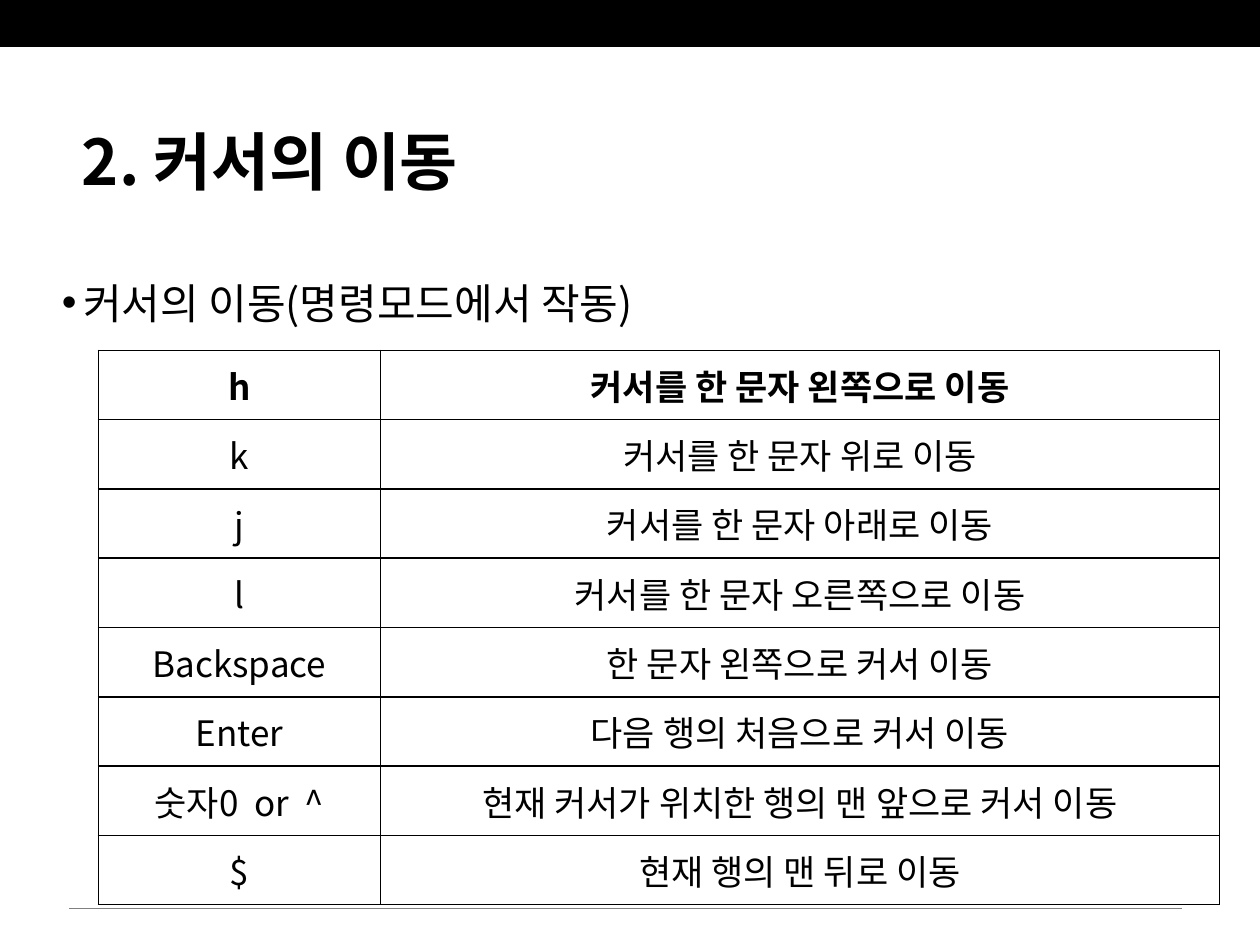
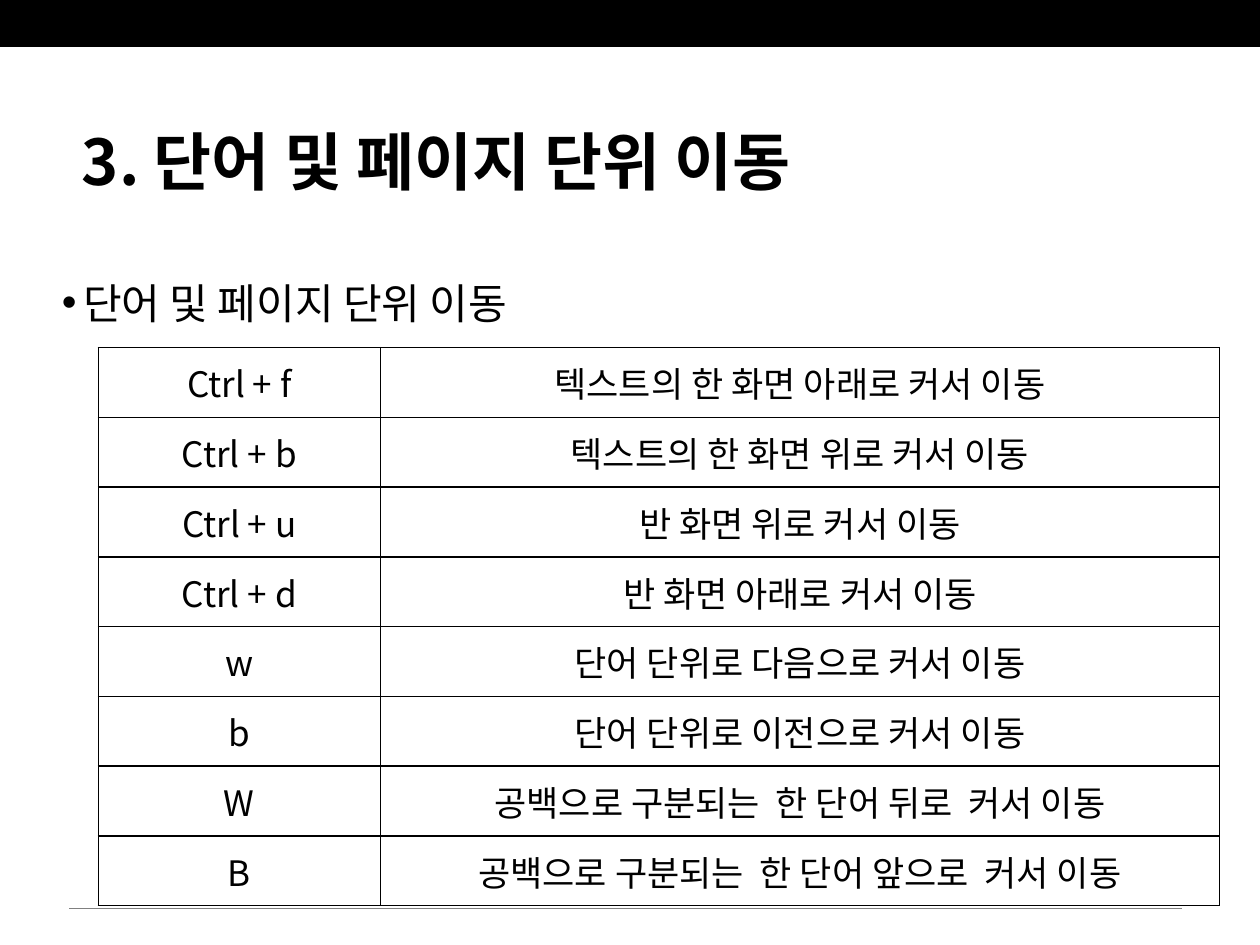
import pptx
import pptx.util
import pptx.dml.color
import pptx.enum.shapes
import pptx.enum.text
import pptx.oxml.ns
import lxml.etree

Inches, Pt = pptx.util.Inches, pptx.util.Pt
PP_ALIGN = pptx.enum.text.PP_ALIGN
ANCHOR = pptx.enum.text.MSO_ANCHOR
qn = pptx.oxml.ns.qn

# Shared look
FONT = "Noto Sans CJK KR"
BLACK, GREY = "000000", "808080"
TITLE = {"size": Pt(36), "bold": True}
BODY = {"size": Pt(24), "bold": False}
CELL = {"size": Pt(20), "bold": False}
HEADER_CELL = {"size": Pt(20), "bold": True}
BAND_BOX = (0, 0, 10, 0.36)
TITLE_BOX = (0.55, 0.94, 8.2, 0.71)
BODY_BOX = (0.39, 2.03, 9.34, 0.71)
FOOTER_LINE = (0.55, 7.21, 9.38, 7.21)
COLUMN_WIDTHS = (2.24, 6.66)
BULLET_INDENT = 0.17

SLIDES = [
    {
        "title": "2. 커서의 이동",
        "body": "커서의 이동(명령모드에서 작동)",
        "table_box": (0.78, 2.78, 8.9, 4.4),
        "bold_first_row": True,
        "keys": [
            ("h", "커서를 한 문자 왼쪽으로 이동"),
            ("k", "커서를 한 문자 위로 이동"),
            ("j", "커서를 한 문자 아래로 이동"),
            ("l", "커서를 한 문자 오른쪽으로 이동"),
            ("Backspace", "한 문자 왼쪽으로 커서 이동"),
            ("Enter", "다음 행의 처음으로 커서 이동"),
            ("숫자0  or  ^", "현재 커서가 위치한 행의 맨 앞으로 커서 이동"),
            ("$", "현재 행의 맨 뒤로 이동"),
        ],
    },
    {
        "title": "3. 단어 및 페이지 단위 이동",
        "body": "단어 및 페이지 단위 이동",
        "table_box": (0.78, 2.76, 8.9, 4.43),
        "bold_first_row": False,
        "keys": [
            ("Ctrl + f", "텍스트의 한 화면 아래로 커서 이동"),
            ("Ctrl + b", "텍스트의 한 화면 위로 커서 이동"),
            ("Ctrl + u", "반 화면 위로 커서 이동"),
            ("Ctrl + d", "반 화면 아래로 커서 이동"),
            ("w", "단어 단위로 다음으로 커서 이동"),
            ("b", "단어 단위로 이전으로 커서 이동"),
            ("W", "공백으로 구분되는  한 단어 뒤로  커서 이동"),
            ("B", "공백으로 구분되는  한 단어 앞으로  커서 이동"),
        ],
    },
]


def rgb(color):
    return pptx.dml.color.RGBColor.from_string(color)


def set_attrs(obj, values):
    for name, value in values.items():
        setattr(obj, name, value)


def write(tf, text, style, align):
    p = tf.paragraphs[0]
    p.alignment = align
    r = p.add_run()
    r.text = text
    set_attrs(r.font, style)
    r.font.color.rgb = rgb(BLACK)
    r.font.name = FONT
    lxml.etree.SubElement(r.font._element, qn("a:ea"), typeface=FONT)
    return p


def fill_placeholder(sp, box, text, style, anchor):
    set_attrs(sp, dict(zip(("left", "top", "width", "height"), map(Inches, box))))
    set_attrs(sp.text_frame, {
        "word_wrap": True,
        "auto_size": pptx.enum.text.MSO_AUTO_SIZE.NONE,
        "vertical_anchor": anchor,
    })
    return write(sp.text_frame, text, style, PP_ALIGN.LEFT)


# Top band and footer line
def add_frame(s):
    band = s.shapes.add_shape(pptx.enum.shapes.MSO_SHAPE.RECTANGLE, *map(Inches, BAND_BOX))
    band.shadow.inherit = False
    band.fill.solid()
    band.fill.fore_color.rgb = rgb(BLACK)
    band.line.color.rgb = rgb(BLACK)
    band.line.width = Pt(2)

    line = s.shapes.add_connector(pptx.enum.shapes.MSO_CONNECTOR.STRAIGHT, *map(Inches, FOOTER_LINE))
    line.line.color.rgb = rgb(GREY)
    line.line.width = Pt(0.75)
    lxml.etree.SubElement(line._element.spPr, qn("a:effectLst"))


# Title and bulleted lead line
def add_heading(s, title, body):
    sp = s.shapes.title
    fill_placeholder(sp, TITLE_BOX, title, TITLE, ANCHOR.MIDDLE)
    sp.text_frame.margin_bottom = Inches(0.1)

    p = fill_placeholder(s.placeholders[1], BODY_BOX, body, BODY, ANCHOR.TOP)
    set_attrs(p, {"line_spacing": 1.3, "space_before": Pt(0)})
    pPr = p._p.get_or_add_pPr()
    pPr.set("marL", str(Inches(BULLET_INDENT)))
    pPr.set("indent", str(-Inches(BULLET_INDENT)))
    lxml.etree.SubElement(pPr, qn("a:buChar"), char="•")


def add_borders(cell):
    tcPr = cell._tc.get_or_add_tcPr()
    for side in ("lnL", "lnR", "lnT", "lnB"):
        ln = lxml.etree.SubElement(tcPr, qn(f"a:{side}"), w=str(Pt(1)))
        fill = lxml.etree.SubElement(ln, qn("a:solidFill"))
        lxml.etree.SubElement(fill, qn("a:srgbClr"), val=BLACK)


# Table of keys and what they do
def add_key_table(s, box, keys, bold_first_row):
    table = s.shapes.add_table(len(keys), len(COLUMN_WIDTHS), *map(Inches, box)).table
    set_attrs(table, {"first_row": False, "horz_banding": False})
    for column, width in zip(table.columns, COLUMN_WIDTHS):
        column.width = Inches(width)
    for i, (row, texts) in enumerate(zip(table.rows, keys)):
        row.height = Inches(box[3] / len(keys))
        style = HEADER_CELL if bold_first_row and i == 0 else CELL
        for cell, text in zip(row.cells, texts):
            cell.vertical_anchor = ANCHOR.MIDDLE
            write(cell.text_frame, text, style, PP_ALIGN.CENTER)
            add_borders(cell)
            cell.fill.background()


def add_key_slide(prs, content):
    s = prs.slides.add_slide(prs.slide_layouts[1])
    add_frame(s)
    add_heading(s, content["title"], content["body"])
    add_key_table(s, content["table_box"], content["keys"], content["bold_first_row"])


def main():
    prs = pptx.Presentation()
    prs.slide_width, prs.slide_height = Inches(10), Inches(7.5)
    for content in SLIDES:
        add_key_slide(prs, content)
    prs.save("out.pptx")


if __name__ == "__main__":
    main()
